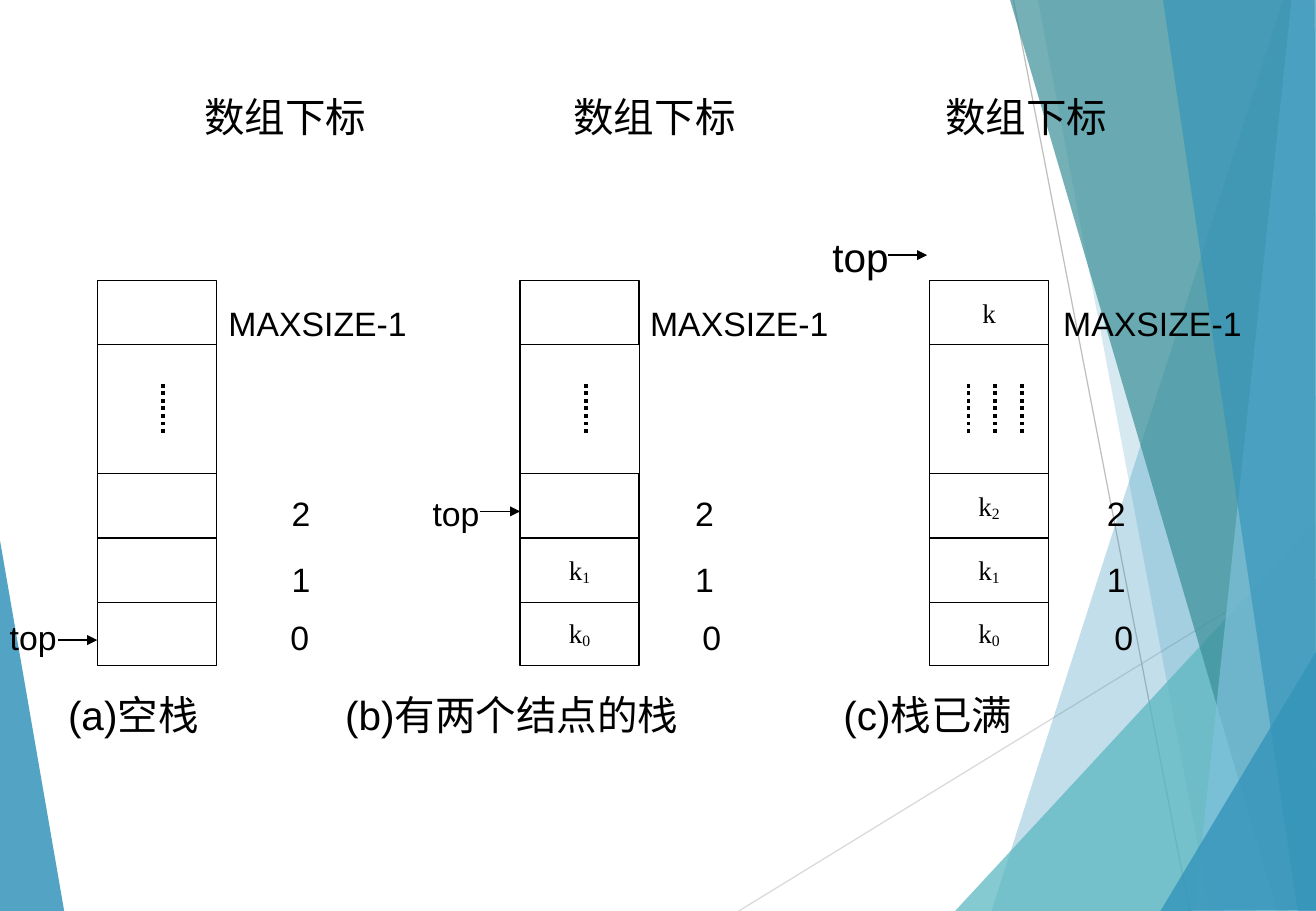
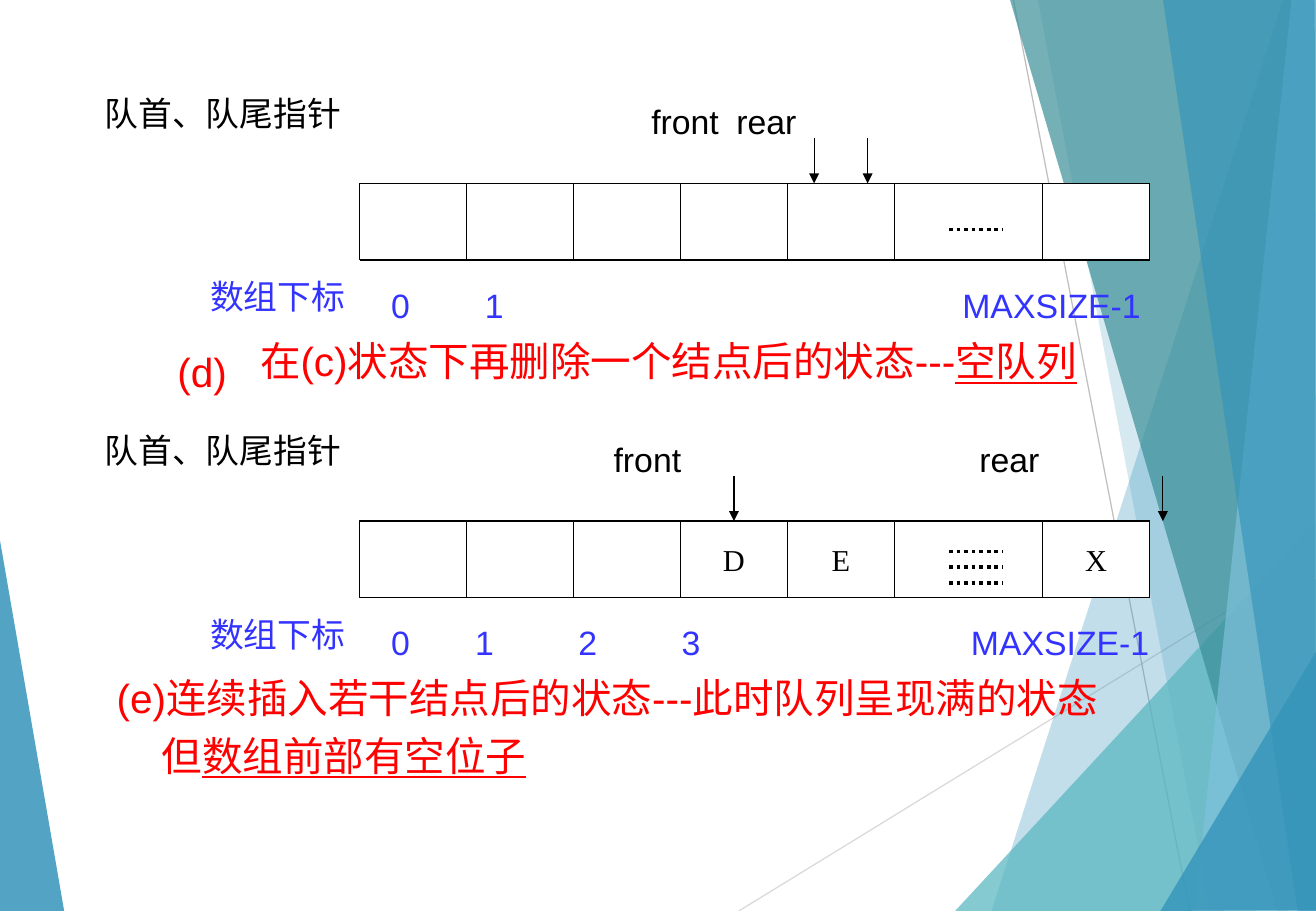
from pptx import Presentation
from pptx import util as u
from pptx.dml.color import RGBColor
from pptx.enum import dml, shapes, text
from pptx.oxml.ns import qn
from lxml import etree

PX = 9144  # EMU in one px, 100 px to the inch
BLACK, WHITE, BLUE, RED = "000000", "FFFFFF", "3333FF", "FF0000"
LATIN, CJK, SERIF = "Arial", "Noto Sans CJK SC", "Times New Roman"
color = RGBColor.from_string


def line(slide, x1, y1, x2, y2, ink=BLACK, dotted=False, arrow=False):
    link = slide.shapes.add_connector(shapes.MSO_CONNECTOR.STRAIGHT,
                                      x1 * PX, y1 * PX, x2 * PX, y2 * PX)
    link.line.color.rgb = color(ink)
    link.line.width = u.Pt(2.25 if dotted else 0.75)
    if dotted:
        link.line.dash_style = dml.MSO_LINE.ROUND_DOT
    if arrow:
        etree.SubElement(link.line._get_or_add_ln(), qn("a:tailEnd"), type="triangle")
    etree.SubElement(link._element.spPr, qn("a:effectLst"))


def label(slide, x, baseline, lines, size=20, ink=BLACK, indent=0):
    """Place text by its first baseline; each line is (plain, underlined)."""
    if isinstance(lines, str):
        lines = [(lines, "")]
    em = size / 0.72
    words = "".join(lines[0])
    has_cjk = any(ch > "⺀" for ch in words)
    width = sum(1.1 if ch > "⺀" else 0.72 for ch in words) * em + 10
    ascent = (1.16 if has_cjk else 0.905) * em
    box = slide.shapes.add_textbox(round(x) * PX, round(baseline - ascent) * PX,
                                   round(width) * PX, round(1.5 * em * len(lines)) * PX)
    frame = box.text_frame
    frame.word_wrap = True
    frame.margin_left = frame.margin_right = frame.margin_top = frame.margin_bottom = 0
    for i, (plain, underlined) in enumerate(lines):
        para = frame.paragraphs[0] if i == 0 else frame.add_paragraph()
        para.font.size, para.font.name = u.Pt(size), LATIN
        para.font.color.rgb = color(ink)
        etree.SubElement(para.font._element, qn("a:ea"), typeface=CJK)
        para.add_run().text = plain
        if underlined:
            run = para.add_run()
            run.text = underlined
            run.font.underline = True
        if i:
            para.space_before = u.Pt(5.5)
            para._p.get_or_add_pPr().set("marL", str(indent * PX))


prs = Presentation()
prs.slide_width, prs.slide_height = 1083 * PX, 750 * PX
stacks, queues = (prs.slides.add_slide(prs.slide_layouts[6]) for _ in range(2))

# Shared background facets: fill, opacity in percent, corners
facets = [
    ("3494BA", 85, [(-1, 439), (53, 751), (-1, 750)]),
    ("3494BA", 30, [(1056, 0), (816, 750), (1085, 751), (1084, 1)]),
    ("3494BA", 20, [(854, -1), (996, 750), (1084, 750), (1084, -1)]),
    ("58B6C0", 72, [(786, 750), (1083, 429), (1084, 750)]),
    ("3A8F98", 70, [(831, -1), (1051, 750), (1085, 749), (1085, -1)]),
    ("7FC1DB", 70, [(1063, -1), (983, 750), (1085, 750), (1084, -1)]),
    ("3494BA", 65, [(957, -1), (1068, 750), (1083, 750), (1082, -1)]),
    ("3494BA", 80, [(955, 750), (1084, 535), (1085, 749)]),
]
for slide in (stacks, queues):
    line(slide, 608, 750, 1085, 457, "D9D9D9")
    line(slide, 834, 0, 979, 750, "BFBFBF")
    for tint, opacity, corners in facets:
        outline = slide.shapes.build_freeform(*corners[0], scale=PX)
        outline.add_line_segments(corners[1:], close=True)
        facet = outline.convert_to_shape()
        facet.shadow.inherit = False
        facet.line.fill.background()
        facet.fill.solid()
        facet.fill.fore_color.rgb = color(tint)
        tone = facet._element.spPr.find(".//" + qn("a:srgbClr"))
        etree.SubElement(tone, qn("a:alpha"), val=str(opacity * 1000))

# Cells of the stacks and queues: slide, left, top, width, height, size, letter, subscript
STACK_TOPS = [495, 443, 390, 231]
CELL_W, CELL_H = 88, 63
QUEUE_LEFT, QUEUE_RIGHT = 296, 946
QUEUE_XS = [QUEUE_LEFT + CELL_W * i for i in range(5)] + [QUEUE_RIGHT - CELL_W]
stack_data = [(80, ["", "", "", ""], [0]),
              (428, ["k0", "k1", "", ""], [0]),
              (765, ["k0", "k1", "k2", "k"], [-22, 0, 22])]
queue_data = [(151, ["", "", "", "", "", ""], [0]),
              (429, ["", "", "", "D", "E", "X"], [-13, 0, 13])]
cells = [(stacks, x, y, 98, 53, 16, node[:1], node[1:])
         for x, nodes, _ in stack_data for y, node in zip(STACK_TOPS, nodes)]
cells += [(queues, x, y, CELL_W, CELL_H, 18, node, "")
          for y, nodes, _ in queue_data for x, node in zip(QUEUE_XS, nodes)]
for slide, x, y, w, h, size, letter, subscript in cells:
    cell = slide.shapes.add_shape(shapes.MSO_SHAPE.RECTANGLE, x * PX, y * PX, w * PX, h * PX)
    cell.shadow.inherit = False
    cell.fill.solid()
    cell.fill.fore_color.rgb = color(WHITE)
    cell.line.color.rgb = color(BLACK)
    cell.line.width = u.Pt(0.75)
    if letter:
        cell.text_frame.word_wrap = False
        cell.text_frame.vertical_anchor = text.MSO_ANCHOR.MIDDLE
        para = cell.text_frame.paragraphs[0]
        para.alignment = text.PP_ALIGN.CENTER
        para.font.size, para.font.name = u.Pt(size), SERIF
        para.font.color.rgb = color(BLACK)
        para.add_run().text = letter
        if subscript:
            run = para.add_run()
            run.text = subscript
            run.font._element.set("baseline", "-12000")

# Stack sides and dotted ellipses
for x, _, dots in stack_data:
    for side in (x, x + 98):
        line(stacks, side, 273, side, 400)
    for dx in dots:
        line(stacks, x + 54 + dx, 316, x + 54 + dx, 358, dotted=True)

# Queue edges and dotted ellipses
for y, _, dots in queue_data:
    for edge in (y, y + CELL_H):
        line(queues, QUEUE_LEFT, edge, QUEUE_RIGHT, edge)
    for dy in dots:
        line(queues, 781, y + 38 + dy, 825, y + 38 + dy, dotted=True)

# Stack pointers: text left, baseline, size, arrow start, end, height
for x, baseline, size, start, end, y in [(8, 533, 20, 48, 80, 527),
                                         (356, 431, 20, 395, 428, 421),
                                         (685, 221, 24, 731, 763, 210)]:
    label(stacks, x, baseline, "top", size)
    line(stacks, start, y, end, y, arrow=True)

# Stack headings, indices and captions
for words, baseline, size, lefts in [("数组下标", 115, 24, (168, 472, 778)),
                                     ("MAXSIZE-1", 274, 20, (188, 535, 875)),
                                     ("2", 431, 20, (240, 572, 911)),
                                     ("1", 485, 20, (240, 572, 911)),
                                     ("0", 533, 20, (239, 578, 917))]:
    for x in lefts:
        label(stacks, x, baseline, words, size)
for x, words in [(56, "(a)空栈"), (284, "(b)有两个结点的栈"), (694, "(c)栈已满")]:
    label(stacks, x, 607, words, 24)

# Queue pointers and indices: queue top, pointer words, arrow columns, index words
queue_labels = [
    (151, [(536, "front"), (606, "rear")], (670, 714),
     [(322, "0"), (399, "1"), (792, "MAXSIZE-1")]),
    (429, [(505, "front"), (806, "rear")], (604, 957),
     [(322, "0"), (391, "1"), (476, "2"), (561, "3"), (799, "MAXSIZE-1")]),
]
for y, pointers, columns, indices in queue_labels:
    for x, words in [(86, "队首、队尾指针")] + pointers:
        label(queues, x, y - 43, words)
    for x in columns:
        line(queues, x, y - 37, x, y, arrow=True)
    for x, words in [(173, "数组下标")] + indices:
        label(queues, x, y + 108, words, ink=BLUE)

# Queue captions
label(queues, 146, 316, "(d)", 24, RED)
label(queues, 214, 316, [("在(c)状态下再删除一个结点后的状态---", "空队列")], 24, RED)
label(queues, 96, 593, [("(e)连续插入若干结点后的状态---此时队列呈现满的状态", ""),
                        ("但", "数组前部有空位子")], 24, RED, indent=37)

prs.save("out.pptx")
